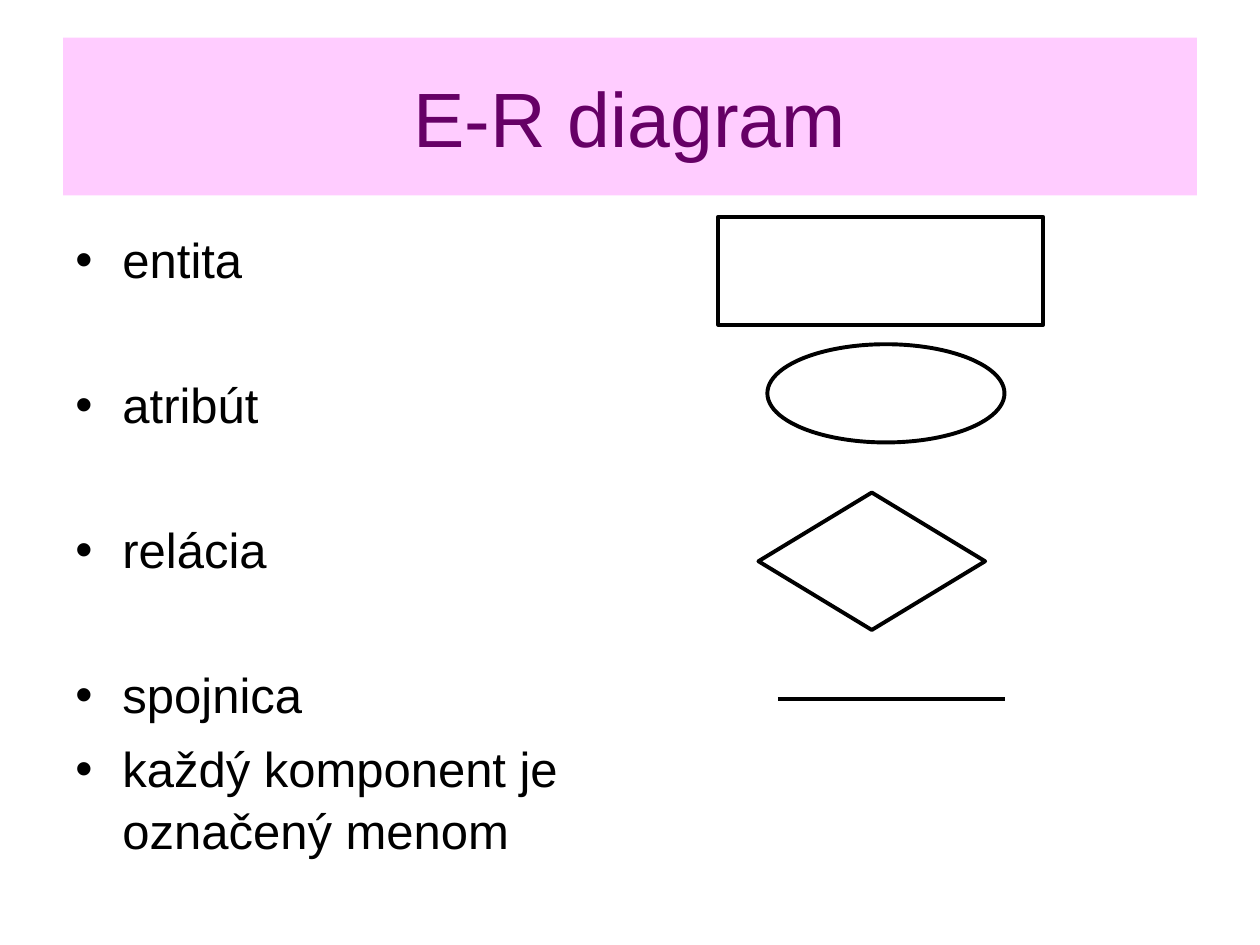
from lxml import etree
from pptx import Presentation
from pptx.dml.color import RGBColor
from pptx.enum import shapes, text
from pptx.oxml import ns
from pptx.util import Cm, Pt

COLORS = {"band": "FFCCFF", "title": "660066", "ink": "000000"}
LINE_WIDTH = Pt(2.25)
SYMBOL = shapes.MSO_SHAPE
# Each term with its space before, in points
TERMS = [
    ("entita", 7),
    ("atribút", 47.6),
    ("relácia", 47.6),
    ("spojnica", 47.6),
    ("každý komponent je označený menom", 7),
]
# Symbol, then left, top, width and height in cm within the symbol column
SYMBOLS = [
    (SYMBOL.RECTANGLE, 0, 0, 6.55, 2.18),
    (SYMBOL.OVAL, 0.99, 2.57, 4.78, 1.98),
    (SYMBOL.FLOWCHART_DECISION, 0.81, 5.56, 4.57, 2.77),
]


def color(name):
    return RGBColor.from_string(COLORS[name])


def format_font(font, size, name):
    for key, value in {"name": "Arial", "size": Pt(size), "bold": False}.items():
        setattr(font, key, value)
    font.color.rgb = color(name)


def place(sp, box):
    for key, value in zip(("left", "top", "width", "height"), box):
        setattr(sp, key, Cm(value))


def style_line(sp):
    sp.line.color.rgb = color("ink")
    sp.line.width = LINE_WIDTH


def add_bullet(p, indent):
    pPr = p._p.get_or_add_pPr()
    pPr.set("marL", str(indent))
    pPr.set("indent", str(-indent))
    etree.SubElement(pPr, ns.qn("a:buFont"), typeface="Arial")
    etree.SubElement(pPr, ns.qn("a:buChar"), char="•")


def fill_title(s, box):
    sp = s.shapes.title
    place(sp, box)
    sp.fill.solid()
    sp.fill.fore_color.rgb = color("band")
    tf = sp.text_frame
    tf.text = "E-R diagram"
    tf.vertical_anchor = text.MSO_ANCHOR.MIDDLE
    p = tf.paragraphs[0]
    p.alignment = text.PP_ALIGN.CENTER
    format_font(p.runs[0].font, 44, "title")


def add_terms(s, box):
    tf = s.shapes.add_textbox(*map(Cm, box)).text_frame
    tf.word_wrap = True
    for i, (term, gap) in enumerate(TERMS):
        p = tf.add_paragraph() if i else tf.paragraphs[0]
        p.line_spacing = 1.05
        p.space_before = Pt(gap)
        add_bullet(p, Cm(0.95))
        r = p.add_run()
        r.text = term
        format_font(r.font, 28, "ink")


def add_symbols(s, left, top):
    for kind, x, y, w, h in SYMBOLS:
        sp = s.shapes.add_shape(kind, Cm(left + x), Cm(top + y), Cm(w), Cm(h))
        sp.shadow.inherit = False
        sp.fill.background()
        style_line(sp)
    x, y = left + 1.2, top + 9.73
    link = s.shapes.add_connector(shapes.MSO_CONNECTOR.STRAIGHT,
                                  Cm(x), Cm(y), Cm(x + 4.57), Cm(y))
    style_line(link)
    etree.SubElement(link._element.spPr, ns.qn("a:effectLst"))


def main():
    prs = Presentation()
    prs.slide_width, prs.slide_height = Cm(25.4), Cm(19.05)
    s = prs.slides.add_slide(prs.slide_layouts[5])
    fill_title(s, (1.27, 0.76, 22.86, 3.18))
    add_terms(s, (1.27, 4.45, 11.23, 12.57))
    add_symbols(s, 14.48, 4.37)
    prs.save("out.pptx")


if __name__ == "__main__":
    main()
